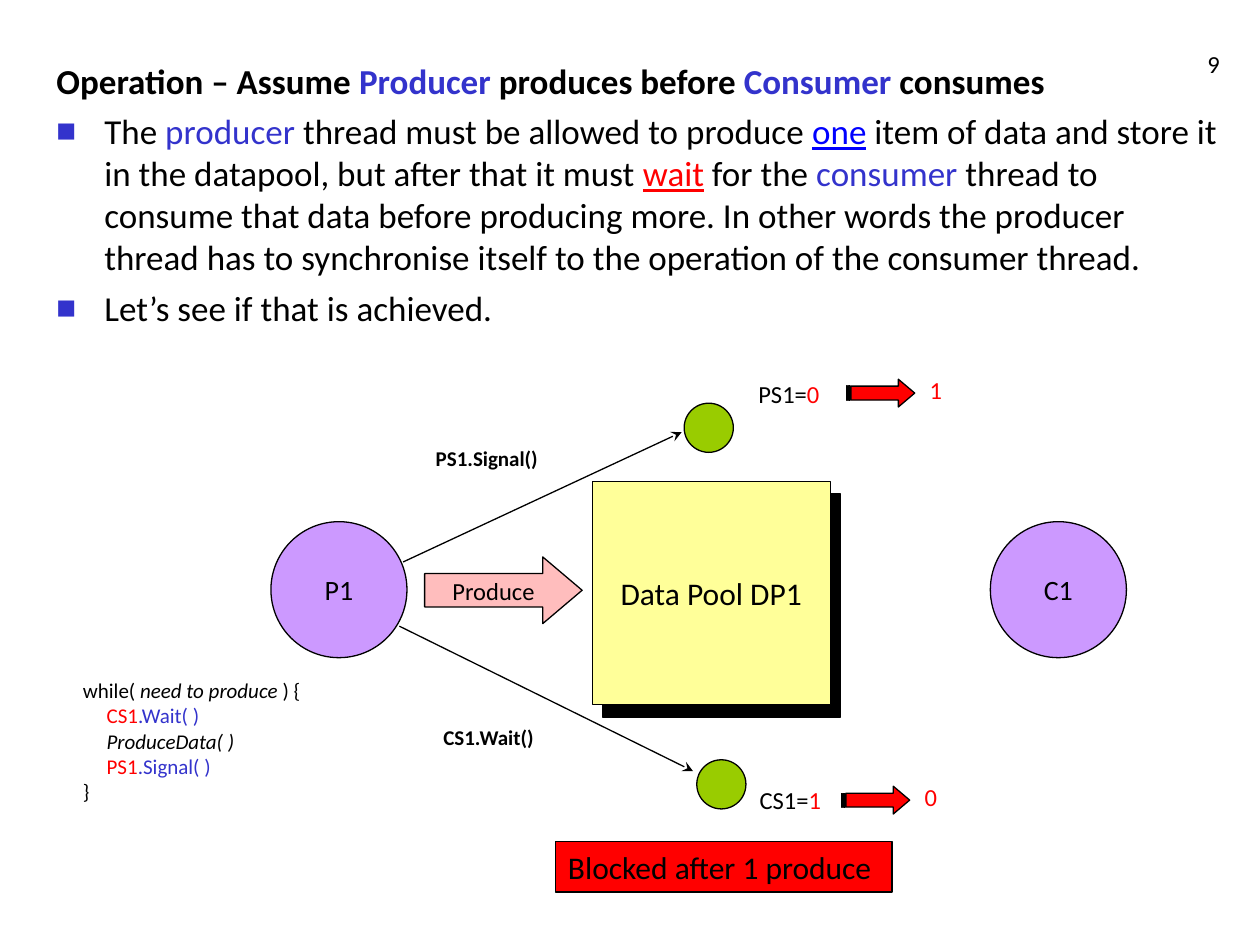
from dataclasses import dataclass

from lxml.etree import SubElement
from pptx import Presentation
from pptx.dml.color import RGBColor
from pptx.enum.shapes import MSO_CONNECTOR as Connector, MSO_SHAPE as Preset
from pptx.enum.text import MSO_ANCHOR as Anchor, PP_ALIGN as Align
from pptx.oxml.ns import qn
from pptx.util import Inches, Pt


@dataclass(frozen=True)
class Theme:
    font: str = "Calibri"
    black: str = "000000"
    blue: str = "3333CC"
    link: str = "0000FF"
    red: str = "FF0000"
    pool: str = "FFFF99"
    thread: str = "CC99FF"
    semaphore: str = "99CC00"
    produce: str = "FFBDBD"
    body_size: int = 20
    box_size: int = 18
    thread_size: int = 16
    label_size: int = 14
    code_size: int = 12
    line: float = 0.75


theme = Theme()
WIDTH, HEIGHT = 10, 7.5
COLUMNS, ROWS = 100, 75  # all places below are in these grid units

# Run styles
STYLES = {
    "plain": {"color": theme.black},
    "bold": {"color": theme.black, "bold": True},
    "bold blue": {"color": theme.blue, "bold": True},
    "italic": {"color": theme.black, "italic": True},
    "blue": {"color": theme.blue},
    "red": {"color": theme.red},
    "link": {"color": theme.link, "underline": True},
    "alert": {"color": theme.red, "underline": True},
}

# Content: a paragraph is a list of (text, style) runs
HEADING = [
    ("Operation – Assume ", "bold"), ("Producer", "bold blue"),
    (" produces before ", "bold"), ("Consumer ", "bold blue"), ("consumes", "bold"),
]
BULLETS = [
    [
        ("The ", "plain"), ("producer", "blue"),
        (" thread must be allowed to produce ", "plain"), ("one", "link"),
        (" item of data and store it in the datapool, but after that it must ", "plain"),
        ("wait", "alert"), (" for the ", "plain"), ("consumer", "blue"),
        (" thread to consume that data before producing more. In other words the "
         "producer thread has to synchronise itself to the operation of the "
         "consumer thread.", "plain"),
    ],
    [("Let’s see if that is achieved.", "plain")],
]
CODE = [
    [("while( ", "plain"), ("need to produce", "italic"), (" ) {", "plain")],
    [("     CS1", "red"), (".Wait( )", "blue")],
    [("     ProduceData( )", "italic")],
    [("     PS1", "red"), (".Signal( )", "blue")],
    [("}", "plain")],
]
THREADS = [("P1", 21.5), ("C1", 78.6)]  # name, left
# name, before, after, circle, value label, striped arrow, new value
SEMAPHORES = [
    ("PS1", "0", "1", (54.3, 32), (59.2, 29.6), (67.2, 30.1), (72.8, 29.3)),
    ("CS1", "1", "0", (55.3, 60.3), (59.3, 61.8), (66.8, 62.4), (72.4, 61.6)),
]
# call, label box, line start, line end
CALLS = [
    ("PS1.Signal()", (33.6, 34.9, 11.8, 3), (32, 44.6), (54.1, 34.3)),
    ("CS1.Wait()", (34.2, 57, 11, 3), (31.7, 49.7), (55, 61.2)),
]

presentation = Presentation()
presentation.slide_width, presentation.slide_height = Inches(WIDTH), Inches(HEIGHT)
slide = presentation.slides.add_slide(presentation.slide_layouts[6])


def grid(*values):
    """Turn alternating column and row values into lengths."""
    units = (WIDTH / COLUMNS, HEIGHT / ROWS)
    return [Inches(value * units[i % 2]) for i, value in enumerate(values)]


def write(shape, paragraphs, size, align=Align.LEFT, anchor=Anchor.TOP, wrap=True):
    frame = shape.text_frame
    frame.word_wrap, frame.vertical_anchor = wrap, anchor
    for index, runs in enumerate(paragraphs):
        paragraph = frame.add_paragraph() if index else frame.paragraphs[0]
        paragraph.alignment = align
        for text, style in runs:
            run = paragraph.add_run()
            run.text = text
            formats = {"name": theme.font, "size": Pt(size), **STYLES[style]}
            run.font.color.rgb = RGBColor.from_string(formats.pop("color"))
            for key, value in formats.items():
                setattr(run.font, key, value)
    return frame


def add_text(box, paragraphs, size, **options):
    return write(slide.shapes.add_textbox(*grid(*box)), paragraphs, size, **options)


def add_box(preset, box, fill):
    shape = slide.shapes.add_shape(preset, *grid(*box))
    shape.shadow.inherit = False
    shape.fill.solid()
    shape.fill.fore_color.rgb = RGBColor.from_string(fill)
    shape.line.color.rgb = RGBColor.from_string(theme.black)
    shape.line.width = Pt(theme.line)
    return shape


def add_centred(shape, text, size):
    write(shape, [[(text, "plain")]], size, Align.CENTER, Anchor.MIDDLE, wrap=False)


def add_arrow(start, end):
    line = slide.shapes.add_connector(Connector.STRAIGHT, *grid(*start, *end))
    line.line.color.rgb = RGBColor.from_string(theme.black)
    line.line.width = Pt(theme.line)
    SubElement(line.line._get_or_add_ln(), qn("a:tailEnd"), type="stealth")
    SubElement(line._element.spPr, qn("a:effectLst"))


def add_bullet(paragraph):
    properties = paragraph._p.get_or_add_pPr()
    properties.set("marL", str(Inches(0.38)))
    properties.set("indent", str(-Inches(0.38)))
    color = SubElement(properties, qn("a:buClr"))
    SubElement(color, qn("a:srgbClr"), val=theme.blue)
    SubElement(properties, qn("a:buSzPct"), val="60000")
    SubElement(properties, qn("a:buFont"), typeface=theme.font)
    SubElement(properties, qn("a:buChar"), char="■")


# Page number, heading and bullets
add_text((77, 1.7, 20.8, 5), [[("9", "plain")]], theme.label_size,
         align=Align.RIGHT, anchor=Anchor.BOTTOM)
body = add_text((3.5, 4.2, 94.4, 24), [HEADING, *BULLETS], theme.body_size)
for bullet in body.paragraphs[1:]:
    add_bullet(bullet)
    bullet.space_before = Pt(5)

# Data pool with its hard shadow
add_box(Preset.RECTANGLE, (47.8, 39.2, 18.9, 17.7), theme.black)
pool = add_box(Preset.RECTANGLE, (47, 38.2, 18.9, 17.7), theme.pool)
add_centred(pool, "Data Pool DP1", theme.box_size)

# Threads
for name, left in THREADS:
    circle = add_box(Preset.OVAL, (left, 41.4, 10.8, 10.8), theme.thread)
    add_centred(circle, name, theme.thread_size)

# Produce arrow
produce = add_box(Preset.RIGHT_ARROW, (33.7, 44.2, 12.5, 5.3), theme.produce)
produce.adjustments[1] = 0.59
add_centred(produce, "Produce", theme.label_size)

# Semaphores and their change of value
for name, before, after, circle, label, arrow, result in SEMAPHORES:
    add_box(Preset.OVAL, (*circle, 3.9, 3.9), theme.semaphore)
    add_text((*label, 8.2, 3.4), [[(name + "=", "plain"), (before, "red")]],
             theme.label_size)
    striped = add_box(Preset.STRIPED_RIGHT_ARROW, (*arrow, 5.4, 2.2), theme.red)
    striped.adjustments[1] = 0.59
    add_text((*result, 4.3, 3.4), [[(after, "red")]], theme.label_size)

# Calls from the producer to the semaphores
for call, label, start, end in CALLS:
    add_arrow(start, end)
    add_text(label, [[(call, "bold")]], theme.code_size)

# Outcome and producer code
outcome = add_box(Preset.RECTANGLE, (44.1, 66.8, 26.7, 4), theme.red)
write(outcome, [[("Blocked after 1 produce", "plain")]], theme.box_size)
add_text((5.6, 53.3, 22.8, 11), CODE, theme.code_size)

presentation.save("out.pptx")
